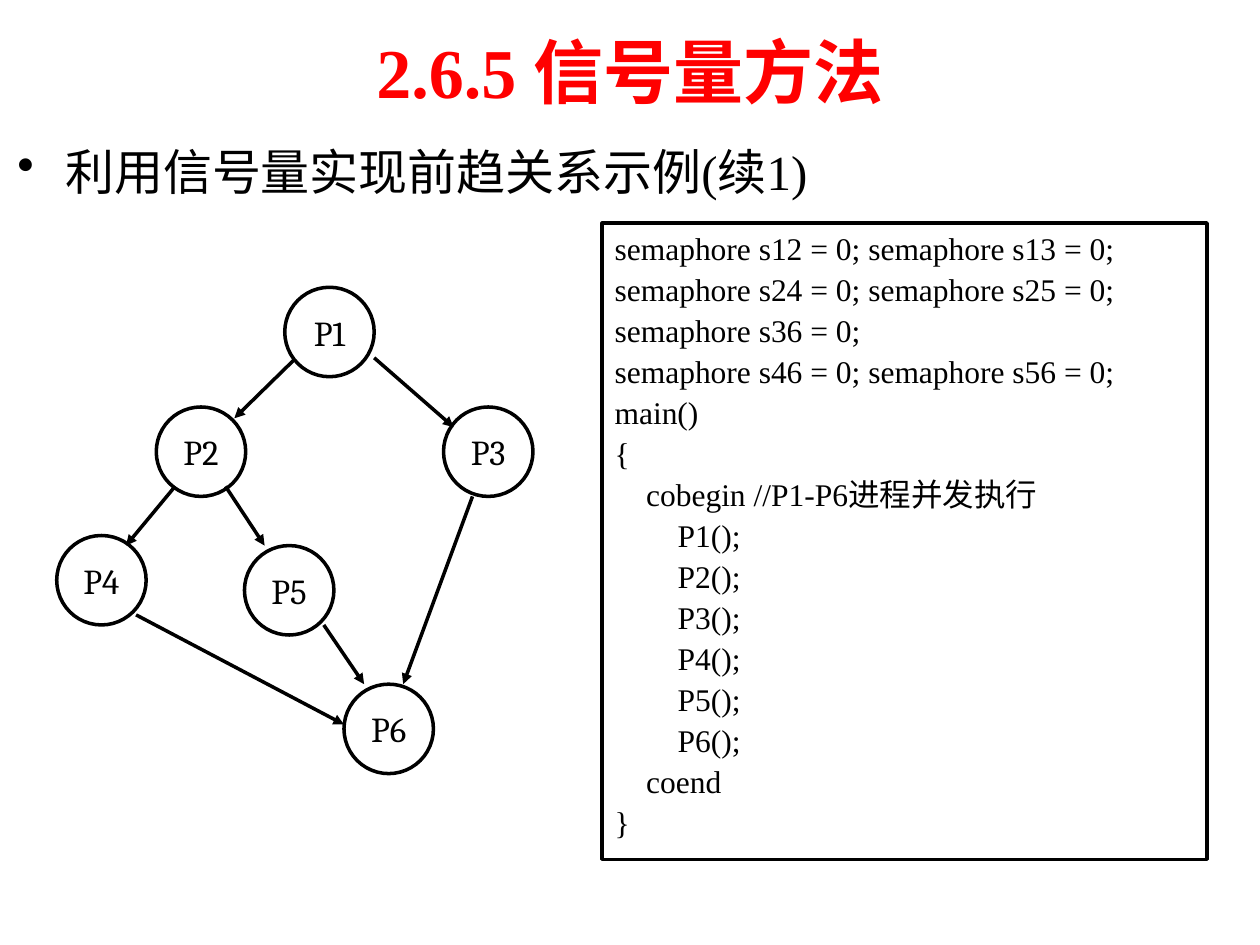
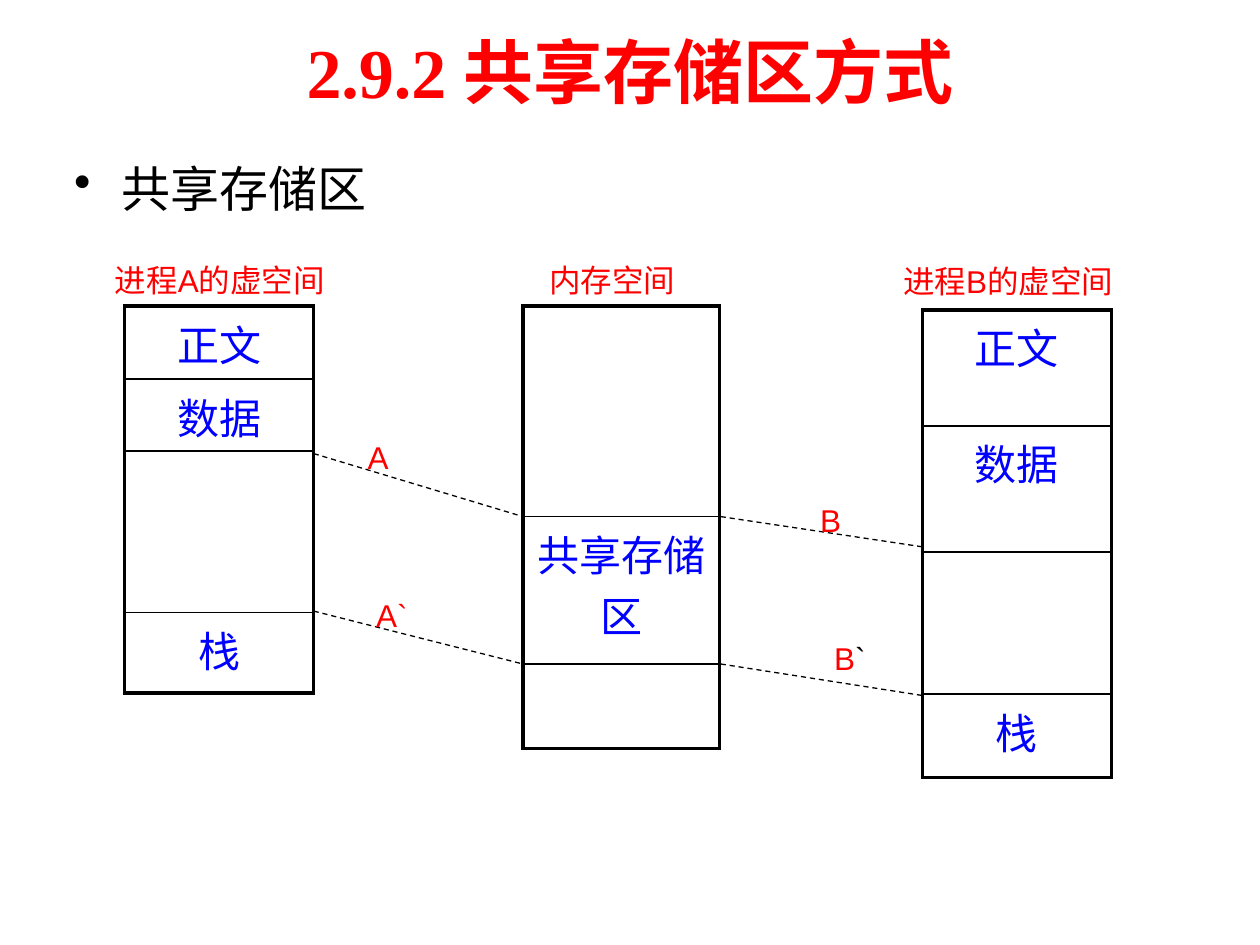
from dataclasses import dataclass

from lxml import etree
from pptx import Presentation
from pptx.dml.color import RGBColor
from pptx.enum.dml import MSO_LINE
from pptx.enum.shapes import MSO_CONNECTOR, MSO_SHAPE
from pptx.enum.text import MSO_ANCHOR, PP_ALIGN
from pptx.oxml.ns import qn
from pptx.util import Emu, Pt

PX = 9144
LEFT, CENTER = PP_ALIGN.LEFT, PP_ALIGN.CENTER
TOP, MIDDLE = MSO_ANCHOR.TOP, MSO_ANCHOR.MIDDLE
OVAL, RECT = MSO_SHAPE.OVAL, MSO_SHAPE.RECTANGLE
STRAIGHT, DASH = MSO_CONNECTOR.STRAIGHT, MSO_LINE.DASH


@dataclass(frozen=True)
class Style:
    font: str
    size: int
    color: str
    bold: bool = False


@dataclass(frozen=True)
class Theme:
    ink: str = "000000"
    title: Style = Style("Times New Roman", 40, "FF0000", True)
    bullet: Style = Style("Times New Roman", 28, "000000")
    code: Style = Style("Times New Roman", 18, "000000")
    node: Style = Style("Cambria", 20, "000000")
    cell: Style = Style("Arial", 24, "0000FF")
    label: Style = Style("Arial", 18, "FF0000")
    label_ink: Style = Style("Arial", 18, "000000")
    line: float = 2
    outer: float = 2.25
    inner: float = 1
    dash: float = 0.75


THEME = Theme()
DIAMETER = 71
INDENT = 25

NODES = {
    "P1": (226, 228), "P2": (124, 323), "P3": (352, 323),
    "P4": (45, 425), "P5": (194, 433), "P6": (273, 543),
}
ARROWS = [
    (234, 285, 186, 332), (139, 386, 100, 433), (297, 284, 360, 339),
    (179, 386, 210, 433), (375, 394, 320, 543), (257, 496, 289, 543),
    (108, 488, 273, 575),
]
CODE = [
    (0, "semaphore s12 = 0; semaphore s13 = 0;"),
    (0, "semaphore s24 = 0; semaphore s25 = 0;"),
    (0, "semaphore s36 = 0;"),
    (0, "semaphore s46 = 0; semaphore s56 = 0;"),
    (0, "main()"),
    (0, "{"),
    (1, "cobegin //P1-P6进程并发执行"),
    *[(2, f"{name}();") for name in NODES],
    (1, "coend"),
    (0, "}"),
]
SPACES = [
    (99, 243, 150, [(58, "正文"), (57, "数据"), (128, ""), (64, "栈")]),
    (415, 243, 156, [(167, ""), (117, "共享存储区"), (67, "")]),
    (732, 246, 150, [(92, "正文"), (100, "数据"), (113, ""), (66, "栈")]),
]
MAPPINGS = [
    (249, 360, 415, 410), (249, 485, 415, 527),
    (572, 410, 732, 434), (572, 527, 732, 552),
]
LABELS = [
    (41, 202, 267, CENTER, "进程A的虚空间"),
    (382, 202, 208, CENTER, "内存空间"),
    (707, 203, 200, LEFT, "进程B的虚空间"),
    (282, 343, 58, LEFT, "A"),
    (282, 468, 58, CENTER, "A`"),
    (641, 393, 58, LEFT, "B"),
]


def px(*values):
    return [Emu(v * PX) for v in values]


def rgb(color):
    return RGBColor.from_string(color)


def child(parent, tag, **attrs):
    return etree.SubElement(parent, qn(tag), attrs)


def add_run(p, text, style):
    r = p.add_run()
    r.text = text
    r.font.name = style.font
    r.font.size = Pt(style.size)
    r.font.bold = style.bold
    r.font.color.rgb = rgb(style.color)


def format_paragraph(p, align=LEFT, before=0, indent=0, bullet=False):
    p.alignment = align
    pPr = p._p.get_or_add_pPr()
    pPr.set("marL", str(indent * PX))
    pPr.set("indent", str(-indent * PX if bullet else 0))
    child(child(pPr, "a:spcBef"), "a:spcPct", val=str(before * 1000))
    if bullet:
        child(pPr, "a:buChar", char="•")


def add_text(slide, box, runs, anchor=TOP, **paragraph):
    tf = slide.shapes.add_textbox(*px(*box)).text_frame
    tf.word_wrap = True
    tf.vertical_anchor = anchor
    p = tf.paragraphs[0]
    format_paragraph(p, **paragraph)
    for text, style in runs:
        add_run(p, text, style)


def add_outline(slide, kind, box):
    sp = slide.shapes.add_shape(kind, *px(*box))
    sp.shadow.inherit = False
    sp.fill.background()
    sp.line.color.rgb = rgb(THEME.ink)
    sp.line.width = Pt(THEME.line)
    return sp.text_frame


def add_node(slide, name, left, top):
    tf = add_outline(slide, OVAL, (left, top, DIAMETER, DIAMETER))
    tf.margin_left = tf.margin_right = tf.margin_top = tf.margin_bottom = 0
    tf.word_wrap = False
    tf.vertical_anchor = MIDDLE
    p = tf.paragraphs[0]
    p.alignment = CENTER
    add_run(p, name, THEME.node)


def add_line(slide, ends, width, dashed=False, arrow=False):
    cx = slide.shapes.add_connector(STRAIGHT, *px(*ends))
    cx.line.color.rgb = rgb(THEME.ink)
    cx.line.width = Pt(width)
    if dashed:
        cx.line.dash_style = DASH
    if arrow:
        child(cx.get_or_add_ln(), "a:tailEnd", type="triangle")
    child(cx._element.spPr, "a:effectLst")


def add_code(slide, box, lines):
    tf = add_outline(slide, RECT, box)
    tf.word_wrap = True
    tf.vertical_anchor = TOP
    for i, (level, text) in enumerate(lines):
        p = tf.add_paragraph() if i else tf.paragraphs[0]
        format_paragraph(p, before=10, indent=level * INDENT)
        add_run(p, text, THEME.code)


def set_borders(cell, first, last):
    widths = {
        "a:lnL": THEME.outer,
        "a:lnR": THEME.outer,
        "a:lnT": THEME.outer if first else THEME.inner,
        "a:lnB": THEME.outer if last else THEME.inner,
    }
    tcPr = cell._tc.get_or_add_tcPr()
    for tag, width in widths.items():
        ln = child(tcPr, tag, w=str(Pt(width)))
        child(child(ln, "a:solidFill"), "a:srgbClr", val=THEME.ink)


def add_memory(slide, left, top, width, blocks):
    height = sum(h for h, _ in blocks)
    frame = slide.shapes.add_table(len(blocks), 1, *px(left, top, width, height))
    table = frame.table
    table.first_row = table.horz_banding = False
    for i, (h, text) in enumerate(blocks):
        table.rows[i].height = Emu(h * PX)
        cell = table.cell(i, 0)
        set_borders(cell, i == 0, i == len(blocks) - 1)
        cell.fill.background()
        if text:
            p = cell.text_frame.paragraphs[0]
            format_paragraph(p, CENTER, before=20)
            add_run(p, text, THEME.cell)


def add_slide(prs, title, bullet, bullet_box):
    slide = prs.slides.add_slide(prs.slide_layouts[6])
    add_text(slide, (50, 5, 900, 102), [(title, THEME.title)], MIDDLE, align=CENTER)
    add_text(slide, bullet_box, [(bullet, THEME.bullet)],
             before=20, indent=38, bullet=True)
    return slide


def build_semaphores(prs):
    slide = add_slide(prs, "2.6.5 信号量方法", "利用信号量实现前趋关系示例(续1)",
                      (4, 107, 900, 495))
    for name, (left, top) in NODES.items():
        add_node(slide, name, left, top)
    for ends in ARROWS:
        add_line(slide, ends, THEME.line, arrow=True)
    add_code(slide, (478, 177, 480, 505), CODE)


def build_shared_memory(prs):
    slide = add_slide(prs, "2.9.2 共享存储区方式", "共享存储区", (49, 121, 900, 533))
    for space in SPACES:
        add_memory(slide, *space)
    for ends in MAPPINGS:
        add_line(slide, ends, THEME.dash, dashed=True)
    for left, top, width, align, text in LABELS:
        add_text(slide, (left, top, width, 40), [(text, THEME.label)],
                 align=align, before=50)
    add_text(slide, (641, 502, 67, 40), [("B", THEME.label), ("`", THEME.label_ink)],
             align=CENTER, before=50)


def main():
    prs = Presentation()
    prs.slide_width, prs.slide_height = px(1000, 750)
    build_semaphores(prs)
    build_shared_memory(prs)
    prs.save("out.pptx")


if __name__ == "__main__":
    main()
